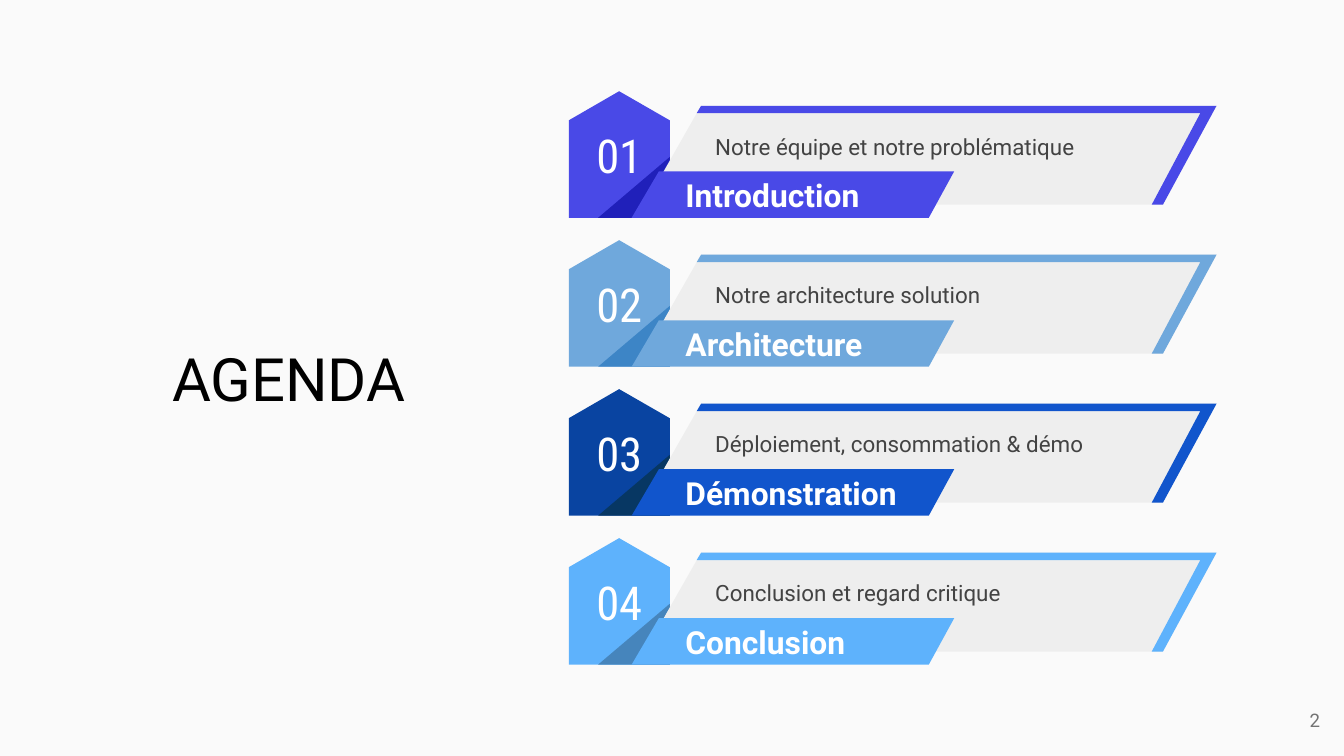
from pptx import Presentation
from pptx.dml.color import RGBColor
from pptx.enum.text import MSO_ANCHOR, PP_ALIGN
from pptx.util import Pt

TOP, MIDDLE = MSO_ANCHOR.TOP, MSO_ANCHOR.MIDDLE
LEFT, CENTER, RIGHT = PP_ALIGN.LEFT, PP_ALIGN.CENTER, PP_ALIGN.RIGHT

COLORS = {
    "background": "FAFAFA",
    "panel": "EEEEEE",
    "title": "000000",
    "detail": "434343",
    "number": "737373",
    "white": "FFFFFF",
}

# Heading, detail, hexagon colour, fold colour, band colour
ITEMS = [
    ("Introduction", "Notre équipe et notre problématique", "4949E7", "2020BA", "4949E7"),
    ("Architecture", "Notre architecture solution", "6FA8DC", "3D85C6", "6FA8DC"),
    ("Démonstration", "Déploiement, consommation & démo", "0944A1", "073763", "1155CC"),
    ("Conclusion", "Conclusion et regard critique", "5EB2FC", "4685BC", "5EB2FC"),
]
FIRST_TOP, PITCH = 48.9, 79.8

# Outlines in points; y is measured from the top of the item
HEXAGON = [(331.7, 0), (304.7, 15.6), (304.7, 67.8), (358.8, 67.8), (358.8, 15.6)]
FOLD = [(358.8, 35.2), (320.4, 67.8), (358.8, 67.8)]
PANEL = [(375.6, 7.8), (354.4, 45), (359.5, 60.8), (623, 60.8), (651.7, 7.8)]
FRAME = [(375.6, 7.8), (373.2, 11.8), (643, 11.8), (617, 60.8), (623, 60.8), (651.7, 7.8)]
BAND = [(353, 42.9), (338.4, 67.8), (497.6, 67.8), (511.2, 42.9)]


def add_outline(shapes, points, top, color):
    """Draw a closed, filled polygon without a border."""
    corners = [(Pt(x), Pt(top + y)) for x, y in points]
    builder = shapes.build_freeform(*corners[0])
    builder.add_line_segments(corners[1:], close=True)
    shape = builder.convert_to_shape()
    shape.shadow.inherit = False
    shape.fill.solid()
    shape.fill.fore_color.rgb = RGBColor.from_string(color)
    shape.line.fill.background()
    return shape


def set_text(box, text, size, color, align=LEFT, anchor=MIDDLE,
             font="Roboto", bold=False, left=7.2, top=7.2):
    frame = box.text_frame
    frame.word_wrap = True
    frame.vertical_anchor = anchor
    frame.margin_left, frame.margin_top = Pt(left), Pt(top)
    frame.margin_right = frame.margin_bottom = Pt(7.2)
    paragraph = frame.paragraphs[0]
    paragraph.text = text
    paragraph.alignment = align
    paragraph.font.name = font
    paragraph.font.size = Pt(size)
    paragraph.font.bold = bold
    paragraph.font.color.rgb = RGBColor.from_string(COLORS[color])


deck = Presentation()
deck.slide_width, deck.slide_height = Pt(720), Pt(405)
page = deck.slides.add_slide(deck.slide_layouts[5])
page.background.fill.solid()
page.background.fill.fore_color.rgb = RGBColor.from_string(COLORS["background"])

for index, (heading, detail, main, dark, accent) in enumerate(ITEMS):
    top = FIRST_TOP + index * PITCH
    shapes = page.shapes.add_group_shape().shapes

    hexagon = add_outline(shapes, HEXAGON, top, main)
    set_text(hexagon, f"{index + 1:02}", 25, "white", CENTER, font="Roboto Condensed")
    add_outline(shapes, FOLD, top, dark)

    panel = add_outline(shapes, PANEL, top, COLORS["panel"])
    set_text(panel, detail, 12, "detail", anchor=TOP, left=28.8, top=14.4)
    add_outline(shapes, FRAME, top, accent)

    band = add_outline(shapes, BAND, top, accent)
    set_text(band, heading, 17, "white", bold=True, left=28.8)

number = page.shapes.add_textbox(Pt(671), Pt(370), Pt(43.2), Pt(31))
set_text(number, "2", 10, "number", RIGHT)

title = page.shapes.title
title.left, title.top, title.width, title.height = Pt(69.8), Pt(175.7), Pt(154.8), Pt(53.3)
set_text(title, "AGENDA", 32, "title", RIGHT, TOP)

deck.save("out.pptx")
